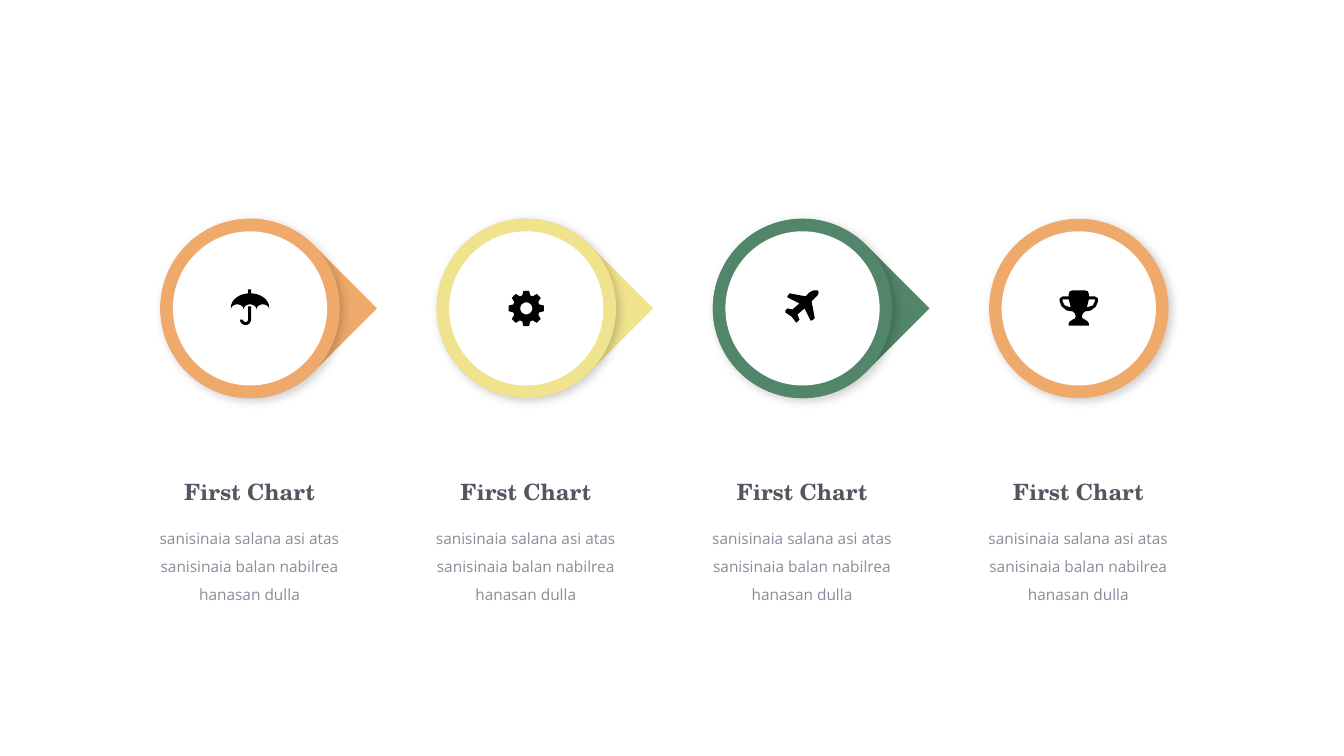
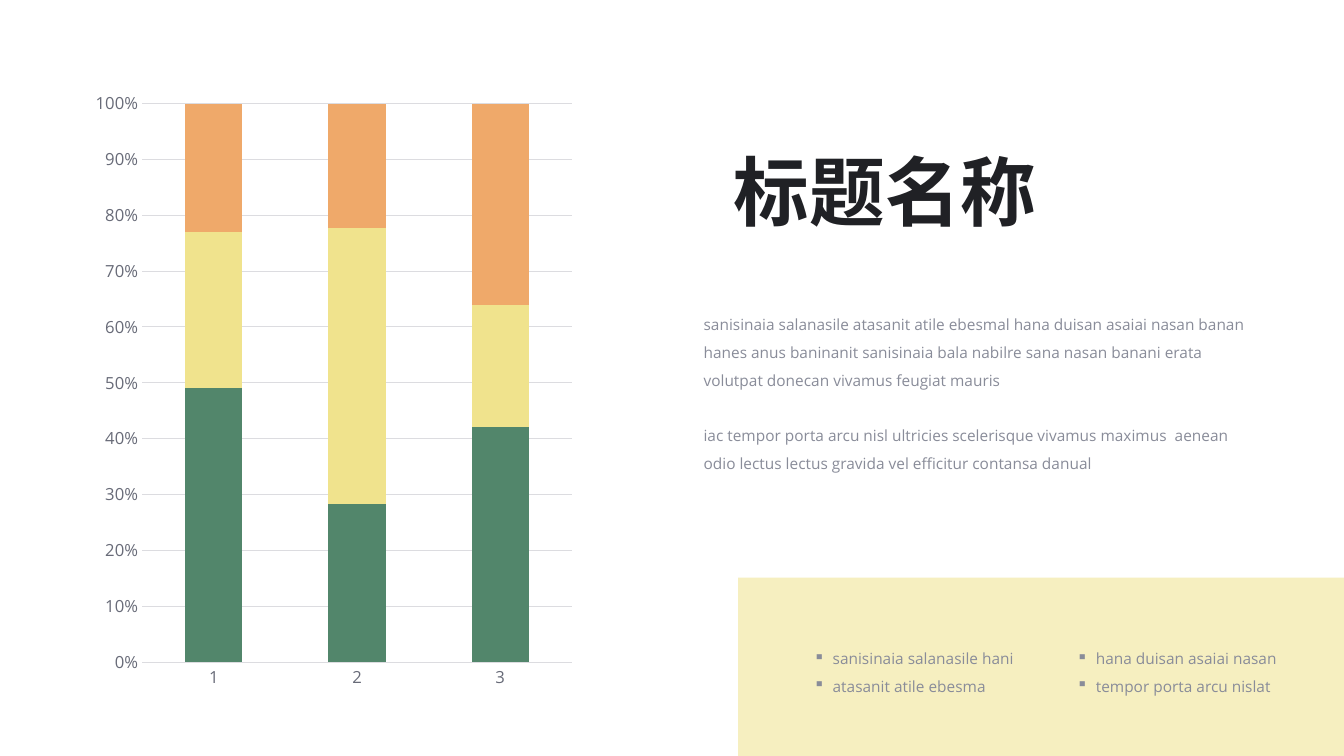
from math import cos, radians, sin

from lxml import etree
from pptx import Presentation
from pptx.chart.data import CategoryChartData
from pptx.dml.color import RGBColor
from pptx.enum.chart import XL_CHART_TYPE, XL_TICK_MARK
from pptx.enum.shapes import MSO_SHAPE
from pptx.enum.text import MSO_AUTO_SIZE, PP_ALIGN
from pptx.oxml import parse_xml
from pptx.oxml.ns import nsdecls, qn
from pptx.util import Inches, Pt

OVAL = MSO_SHAPE.OVAL
TEAR = MSO_SHAPE.TEAR
RECTANGLE = MSO_SHAPE.RECTANGLE
LEFT = PP_ALIGN.LEFT
CENTER = PP_ALIGN.CENTER
GROW = MSO_AUTO_SIZE.SHAPE_TO_FIT_TEXT
STACKED = XL_CHART_TYPE.COLUMN_STACKED_100
NO_TICK = XL_TICK_MARK.NONE

ORANGE = "EFA96A"
YELLOW = "F0E38D"
GREEN = "52866B"
WHITE = "FFFFFF"
BLACK = "010101"
INK = "202125"
HEADING = "535660"
BODY = "898C99"
AXIS = "686B78"
GRID = "DCDCE0"
SANS = "Open Sans"
SERIF = "TeX Gyre Schola"
CJK = "Noto Sans CJK JP"


def color(value):
    return RGBColor.from_string(value)


def arc(x, y, radius_x, radius_y, start, end, steps=16):
    angles = [radians(start + (end - start) * i / steps) for i in range(steps + 1)]
    return [(x + radius_x * cos(a), y + radius_y * sin(a)) for a in angles]


def mirror(points):
    return [(-x, y) for x, y in reversed(points)]


def umbrella():
    canopy = arc(0, -0.01, 0.19, 0.14, 180, 360)
    for x in (0.127, 0, -0.127):
        canopy += arc(x, 0.01, 0.063, 0.05, 0, -180)
    handle = [(0.01, -0.02)] + arc(-0.045, 0.11, 0.055, 0.055, 0, 180)
    handle += arc(-0.045, 0.11, 0.025, 0.025, 180, 0) + [(-0.02, -0.02)]
    tip = [(-0.02, -0.19), (0.01, -0.19), (0.01, -0.15), (-0.02, -0.15)]
    return [canopy, handle, tip]


def gear():
    profile = [(-17, 0.135), (-9, 0.177), (9, 0.177), (17, 0.135)]
    teeth = [
        (radius * cos(radians(45 * tooth + angle)),
         radius * sin(radians(45 * tooth + angle)))
        for tooth in range(8) for angle, radius in profile
    ]
    return [teeth, arc(0, 0, 0.06, 0.06, 360, 0, 24)]


def plane():
    return [[
        (0.12, -0.10), (0.09, -0.07), (0.12, 0.09), (0.12, 0.10),
        (0.09, 0.12), (0.08, 0.12), (0.02, 0), (-0.05, 0.06),
        (-0.03, 0.11), (-0.06, 0.14), (-0.07, 0.13), (-0.11, 0.08),
        (-0.17, 0.04), (-0.17, 0.02), (-0.15, 0), (-0.10, 0.01),
        (-0.03, -0.05), (-0.15, -0.11), (-0.15, -0.12), (-0.13, -0.15),
        (0.03, -0.12), (0.07, -0.16), (0.11, -0.18), (0.15, -0.18),
        (0.16, -0.16), (0.15, -0.13),
    ]]


def trophy():
    half = [
        (0, -0.18), (0.06, -0.18), (0.09, -0.17), (0.10, -0.14),
        (0.10, -0.12), (0.16, -0.12), (0.19, -0.10), (0.19, -0.07),
        (0.17, -0.02), (0.12, 0.02), (0.06, 0.03), (0.04, 0.05),
        (0.03, 0.08), (0.04, 0.10), (0.06, 0.11), (0.09, 0.13),
        (0.10, 0.15), (0.10, 0.17), (0, 0.17),
    ]
    handle = [(0.10, -0.09), (0.16, -0.09), (0.16, -0.07), (0.14, -0.03), (0.08, -0.01)]
    return [half + mirror(half), handle[::-1], mirror(handle)[::-1]]


class Deck:
    def __init__(self):
        self.presentation = Presentation()
        self.presentation.slide_width = Inches(13.33)
        self.presentation.slide_height = Inches(7.5)
        self.slide = None

    def add_slide(self):
        layout = self.presentation.slide_layouts[6]
        self.slide = self.presentation.slides.add_slide(layout)

    def paint(self, shape, fill):
        shape.shadow.inherit = False
        shape.fill.solid()
        shape.fill.fore_color.rgb = color(fill)
        shape.line.fill.background()

    def shape(self, kind, left, top, width, height, fill, alpha=None):
        shape = self.slide.shapes.add_shape(
            kind, Inches(left), Inches(top), Inches(width), Inches(height))
        self.paint(shape, fill)
        if alpha:
            tone = shape.fill._xPr.find(qn("a:solidFill"))[0]
            etree.SubElement(tone, qn("a:alpha")).set("val", str(alpha * 1000))
        return shape

    def centered(self, kind, x, y, size, fill):
        return self.shape(kind, x - size / 2, y - size / 2, size, size, fill)

    def cast_shadow(self, shape):
        effects = shape._element.spPr.find(qn("a:effectLst"))
        effects.append(parse_xml(
            f'<a:outerShdw {nsdecls("a")} blurRad="{Pt(7)}" dist="{Pt(3)}" '
            'dir="2700000" algn="tl" rotWithShape="0"><a:srgbClr val="000000">'
            '<a:alpha val="20000"/></a:srgbClr></a:outerShdw>'))

    def icon(self, x, y, contours):
        placed = [[(Inches(x + dx), Inches(y + dy)) for dx, dy in contour]
                  for contour in contours]
        builder = self.slide.shapes.build_freeform(*placed[0][0])
        for number, contour in enumerate(placed):
            if number:
                builder.move_to(*contour[0])
            builder.add_line_segments(contour[1:], close=True)
        self.paint(builder.convert_to_shape(), BLACK)

    def marker(self, x, y, fill, contours, pointed):
        if pointed:
            self.centered(TEAR, x, y, 1.78, fill).rotation = 45
        self.cast_shadow(self.centered(OVAL, x, y, 1.78, fill))
        self.centered(OVAL, x, y, 1.53, WHITE)
        self.icon(x, y, contours)

    def text(self, left, top, width, height, lines, size=11, font=SANS, tone=BODY,
             bold=False, align=LEFT, spacing=1.5, gap=0, bullet=None):
        box = self.slide.shapes.add_textbox(
            Inches(left), Inches(top), Inches(width), Inches(height))
        frame = box.text_frame
        frame.word_wrap = True
        frame.auto_size = GROW
        frame.text = "\n".join(lines)
        for number, paragraph in enumerate(frame.paragraphs):
            if bullet:
                properties = paragraph._p.get_or_add_pPr()
                properties.set("marL", str(Inches(0.19)))
                properties.set("indent", str(-Inches(0.19)))
                etree.SubElement(properties, qn("a:buChar")).set("char", bullet)
            paragraph.alignment = align
            paragraph.line_spacing = spacing
            if number and gap:
                paragraph.space_before = Pt(gap)
            for run in paragraph.runs:
                self.style(run.font, size, tone, font)
                run.font.bold = bold
                east_asian = etree.SubElement(run._r.get_or_add_rPr(), qn("a:ea"))
                east_asian.set("typeface", font)

    def style(self, font, size, tone, name=SANS):
        font.size = Pt(size)
        font.color.rgb = color(tone)
        font.name = name

    def stacked_chart(self, left, top, width, height, categories, series):
        data = CategoryChartData()
        data.categories = categories
        for name, values, _ in series:
            data.add_series(name, values)
        chart = self.slide.shapes.add_chart(
            STACKED, Inches(left), Inches(top), Inches(width), Inches(height), data).chart
        chart.has_legend = False
        chart.has_title = False
        self.style(chart.font, 10, INK)
        plot = chart.plots[0]
        plot.gap_width = 150
        plot.overlap = 100
        plot.vary_by_categories = False
        for item, (_, _, fill) in zip(plot.series, series):
            item.format.fill.solid()
            item.format.fill.fore_color.rgb = color(fill)
        for axis in (chart.category_axis, chart.value_axis):
            axis.major_tick_mark = NO_TICK
            axis.minor_tick_mark = NO_TICK
            self.style(axis.tick_labels.font, 11.9, AXIS)
        value_axis = chart.value_axis
        value_axis.has_major_gridlines = True
        value_axis.format.line.fill.background()
        value_axis.tick_labels.number_format = "0%"
        value_axis.tick_labels.number_format_is_linked = False
        for line in (chart.category_axis.format.line, value_axis.major_gridlines.format.line):
            line.color.rgb = color(GRID)
            line.width = Pt(0.75)


def add_process_slide(deck):
    deck.add_slide()
    steps = [(ORANGE, umbrella()), (YELLOW, gear()), (GREEN, plane()), (ORANGE, trophy())]
    for number, (fill, contours) in enumerate(steps):
        x = 2.48 + 2.74 * number
        deck.marker(x, 3.06, fill, contours, pointed=number < len(steps) - 1)
        deck.text(x - 1, 4.56, 1.99, 0.46, ["First Chart"], size=16, font=SERIF,
                  tone=HEADING, bold=True, align=CENTER)
        deck.text(x - 1, 5.11, 1.99, 0.93,
                  ["sanisinaia salana asi atas sanisinaia balan nabilrea hanasan dulla"],
                  align=CENTER)


def add_chart_slide(deck):
    deck.add_slide()
    deck.stacked_chart(0.85, 0.79, 4.92, 6.17, ["1", "2", "3"], [
        ("Series 1", (49, 28, 42), GREEN),
        ("Series 2", (28, 49, 22), YELLOW),
        ("Series 3", (23, 22, 36), ORANGE),
    ])
    deck.shape(RECTANGLE, 7.32, 5.73, 6.01, 1.77, YELLOW, alpha=55)
    columns = [
        (7.97, ["sanisinaia salanasile hani", "atasanit atile ebesma"]),
        (10.58, ["hana duisan asaiai nasan", "tempor porta arcu nislat"]),
    ]
    for left, lines in columns:
        deck.text(left, 6.3, 2.19, 0.66, lines, bullet="▪")
    deck.text(6.88, 1.39, 3.8, 1.01, ["标题名称"], size=54, font=CJK, tone=INK,
              bold=True, align=CENTER, spacing=1.0)
    deck.text(6.88, 2.99, 5.58, 1.77, [
        "sanisinaia salanasile atasanit atile ebesmal hana duisan asaiai nasan banan "
        "hanes anus baninanit sanisinaia bala nabilre sana nasan banani erata "
        "volutpat donecan vivamus feugiat mauris",
        "iac tempor porta arcu nisl ultricies scelerisque vivamus maximus  aenean "
        "odio lectus lectus gravida vel efficitur contansa danual",
    ], gap=19.7)


def main():
    deck = Deck()
    add_process_slide(deck)
    add_chart_slide(deck)
    deck.presentation.save("out.pptx")


if __name__ == "__main__":
    main()
